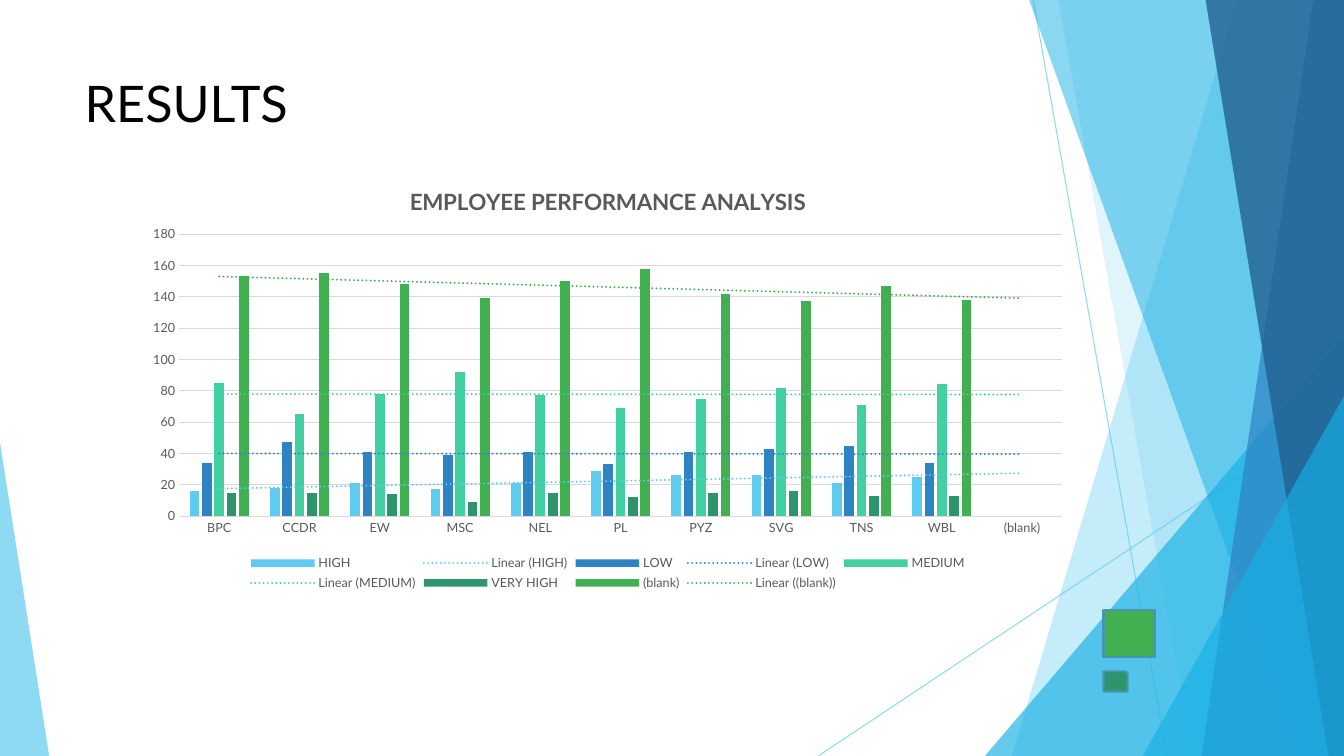
from lxml import etree
from pptx import Presentation
from pptx.chart.data import CategoryChartData
from pptx.dml.color import RGBColor
from pptx.enum.chart import XL_CHART_TYPE, XL_LEGEND_POSITION, XL_TICK_MARK
from pptx.enum.shapes import MSO_CONNECTOR, MSO_SHAPE
from pptx.enum.text import MSO_ANCHOR, PP_ALIGN
from pptx.oxml import parse_xml
from pptx.oxml.ns import nsdecls, qn
from pptx.util import Cm, Pt

# Content
TITLE = "RESULTS"
CHART_TITLE = "EMPLOYEE PERFORMANCE ANALYSIS"
UNITS = ["BPC", "CCDR", "EW", "MSC", "NEL", "PL", "PYZ", "SVG", "TNS", "WBL", "(blank)"]
# name, values, theme colour, has a trend line
SERIES = [
    ("HIGH", [16, 18, 21, 17, 21, 29, 26, 26, 21, 25, None], "sky", True),
    ("LOW", [34, 47, 41, 39, 41, 33, 41, 43, 45, 34, None], "blue", True),
    ("MEDIUM", [85, 65, 78, 92, 77, 69, 75, 82, 71, 84, None], "mint", True),
    ("VERY HIGH", [15, 15, 14, 9, 15, 12, 15, 16, 13, 13, None], "pine", False),
    ("(blank)", [153, 155, 148, 139, 150, 158, 142, 137, 147, 138, None], "green", True),
]

# Theme
THEME = {
    "font": "Lato", "title_size": 36, "chart_title_size": 16, "label_size": 9,
    "black": "000000", "grey": "595959", "grid": "D9D9D9", "border": "4696B1",
    "sky": "5FCBEF", "cyan": "17B0E4", "blue": "2E83C3", "navy": "226292",
    "mint": "42D0A2", "pine": "2E946B", "green": "42B051",
}

# Geometry in centimetres
WIDTH, HEIGHT, BLEED = 33.87, 19.05, -0.02
TITLE_BOX = (1.88, 1.7, 23.88, 3.66)
CHART_BOX = (3.38, 4.22, 23.88, 10.77)
PLOT_AREA = {"x": 0.0475, "y": 0.156, "w": 0.932, "h": 0.66}
THIN_LINES = [(26.04, 0, 29.41, HEIGHT), (WIDTH, 10.24, 20.62, HEIGHT)]
# Panels run from a slanted left side to the right edge: top x, bottom x.
# Triangles stand on the bottom edge: left, top, width, apex position.
DECOR = [
    ("panel", (31.19, 25.5), "sky", 36),
    ("panel", (26.67, 30.05), "sky", 20),
    ("triangle", (24.82, 8.46, 9.05, 1), "cyan", 66),
    ("panel", (25.93, 32.79), "cyan", 50),
    ("panel", (33.1, 30.28), "blue", 70),
    ("panel", (30.38, 33.48), "navy", 80),
    ("triangle", (28.8, 9.98, 5.07, 1), "cyan", 66),
    ("triangle", (0, 11.15, 1.24, 0), "sky", 70),
]
MARKERS = [
    (MSO_SHAPE.FLOWCHART_PROCESS, (27.81, 15.37, 1.3, 1.19), "green"),
    (MSO_SHAPE.ROUND_1_RECTANGLE, (27.81, 16.92, 0.61, 0.51), "pine"),
]


def color(name):
    return RGBColor.from_string(THEME[name])


def lengths(values):
    return [Cm(value) for value in values]


def format_font(font, size, color_name, bold=False):
    formats = {"name": THEME["font"], "size": Pt(THEME[size]), "bold": bold}
    for attribute, value in formats.items():
        setattr(font, attribute, value)
    font.color.rgb = color(color_name)


def format_line(line, color_name, width):
    line.color.rgb = color(color_name)
    line.width = Pt(width)


def paint(shape, color_name):
    shape.shadow.inherit = False
    shape.fill.solid()
    shape.fill.fore_color.rgb = color(color_name)


def set_alpha(shape, percent):
    rgb = next(shape._element.spPr.iter(qn("a:srgbClr")))
    etree.SubElement(rgb, qn("a:alpha")).set("val", str(percent * 1000))


def add_decor(shapes, kind, place, color_name, alpha):
    if kind == "panel":
        top, bottom = place
        builder = shapes.build_freeform(Cm(top), Cm(BLEED))
        corners = [(WIDTH, BLEED), (WIDTH, HEIGHT), (bottom, HEIGHT)]
        builder.add_line_segments([lengths(corner) for corner in corners], close=True)
        shape = builder.convert_to_shape()
    else:
        left, top, width, apex = place
        box = lengths((left, top, width, HEIGHT - top))
        shape = shapes.add_shape(MSO_SHAPE.ISOSCELES_TRIANGLE, *box)
        shape.adjustments[0] = apex
    paint(shape, color_name)
    shape.line.fill.background()
    set_alpha(shape, alpha)


def add_trend(series, color_name):
    trend = parse_xml(
        f'<c:trendline {nsdecls("c", "a")}><c:spPr><a:ln w="19050" cap="rnd"><a:solidFill>'
        f'<a:srgbClr val="{THEME[color_name]}"/></a:solidFill><a:prstDash val="sysDot"/></a:ln>'
        '</c:spPr><c:trendlineType val="linear"/><c:dispRSqr val="0"/><c:dispEq val="0"/>'
        '</c:trendline>')
    series._element.find(qn("c:cat")).addprevious(trend)


def place_plot(chart):
    plot_area = chart._chartSpace.chart.plotArea
    for old in plot_area.findall(qn("c:layout")):
        plot_area.remove(old)
    sizes = "".join(f'<c:{key} val="{value}"/>' for key, value in PLOT_AREA.items())
    plot_area.insert(0, parse_xml(
        f'<c:layout {nsdecls("c")}><c:manualLayout><c:layoutTarget val="inner"/>'
        f'<c:xMode val="edge"/><c:yMode val="edge"/>{sizes}</c:manualLayout></c:layout>'))


def add_performance_chart(shapes):
    data = CategoryChartData()
    data.categories = UNITS
    for name, values, *_ in SERIES:
        data.add_series(name, values)
    chart = shapes.add_chart(XL_CHART_TYPE.COLUMN_CLUSTERED, *lengths(CHART_BOX), data).chart
    format_font(chart.font, "label_size", "grey")

    # Heading and legend
    paragraph = chart.chart_title.text_frame.paragraphs[0]
    run = paragraph.add_run()
    run.text = CHART_TITLE
    format_font(run.font, "chart_title_size", "grey", bold=True)
    chart.chart_title.include_in_layout = False
    chart.has_legend = True
    chart.legend.position = XL_LEGEND_POSITION.BOTTOM
    chart.legend.include_in_layout = False
    format_font(chart.legend.font, "label_size", "grey")

    # Axes
    for axis in (chart.category_axis, chart.value_axis):
        axis.major_tick_mark = axis.minor_tick_mark = XL_TICK_MARK.NONE
        format_font(axis.tick_labels.font, "label_size", "grey")
    format_line(chart.category_axis.format.line, "grid", 0.75)
    scale = {"minimum_scale": 0, "maximum_scale": 180, "major_unit": 20}
    for attribute, value in scale.items():
        setattr(chart.value_axis, attribute, value)
    chart.value_axis.format.line.fill.background()
    format_line(chart.value_axis.major_gridlines.format.line, "grid", 0.75)

    # Columns and trend lines
    plot = chart.plots[0]
    for attribute, value in {"gap_width": 219, "overlap": -27, "vary_by_categories": False}.items():
        setattr(plot, attribute, value)
    for series, (_, _, color_name, has_trend) in zip(plot.series, SERIES):
        series.format.fill.solid()
        series.format.fill.fore_color.rgb = color(color_name)
        if has_trend:
            add_trend(series, color_name)
    place_plot(chart)


def main():
    presentation = Presentation()
    presentation.slide_width, presentation.slide_height = lengths((WIDTH, HEIGHT))
    slide = presentation.slides.add_slide(presentation.slide_layouts[5])
    shapes = slide.shapes

    # Background ornament
    for line in THIN_LINES:
        connector = shapes.add_connector(MSO_CONNECTOR.STRAIGHT, *lengths(line))
        format_line(connector.line, "sky", 0.75)
        set_alpha(connector, 70)
        etree.SubElement(connector._element.spPr, qn("a:effectLst"))
    for decor in DECOR:
        add_decor(shapes, *decor)

    # Title
    title = shapes.title
    for attribute, value in zip(("left", "top", "width", "height"), lengths(TITLE_BOX)):
        setattr(title, attribute, value)
    title.text_frame.text = TITLE
    title.text_frame.vertical_anchor = MSO_ANCHOR.TOP
    paragraph = title.text_frame.paragraphs[0]
    paragraph.alignment = PP_ALIGN.LEFT
    format_font(paragraph.runs[0].font, "title_size", "black")

    # Chart and colour markers
    add_performance_chart(shapes)
    for kind, box, color_name in MARKERS:
        marker = shapes.add_shape(kind, *lengths(box))
        paint(marker, color_name)
        format_line(marker.line, "border", 1.5)

    presentation.save("out.pptx")


if __name__ == "__main__":
    main()
